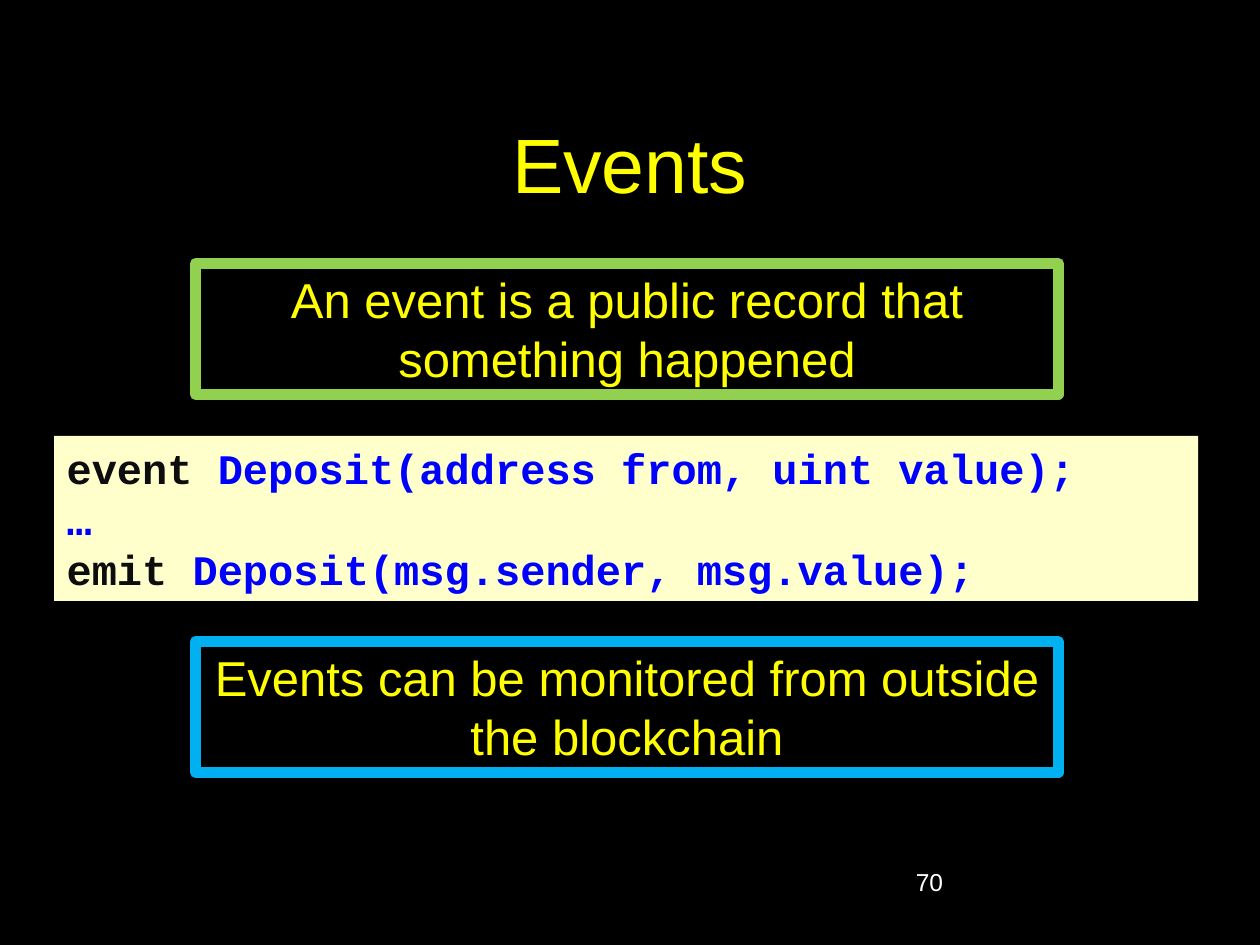
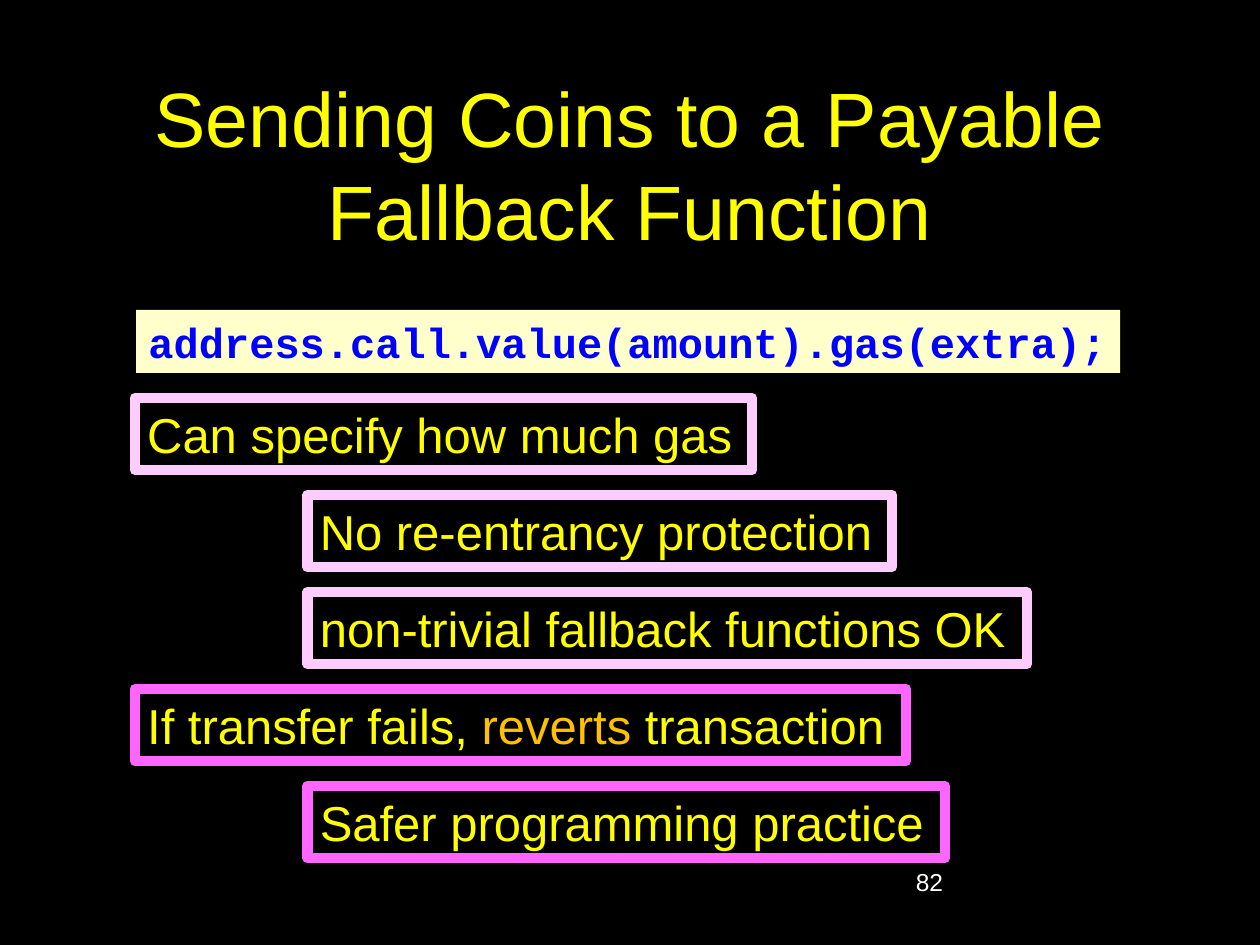
from dataclasses import dataclass

import pptx
import pptx.dml.color
import pptx.enum.shapes
import pptx.enum.text
import pptx.util

Inches = pptx.util.Inches
RGB = pptx.dml.color.RGBColor
Align = pptx.enum.text.PP_ALIGN
Anchor = pptx.enum.text.MSO_ANCHOR
Fit = pptx.enum.text.MSO_AUTO_SIZE

BLACK = RGB(0x00, 0x00, 0x00)
WHITE = RGB(0xFF, 0xFF, 0xFF)
YELLOW = RGB(0xFF, 0xFF, 0x00)
CREAM = RGB(0xFF, 0xFF, 0xCC)
INK = RGB(0x0D, 0x0D, 0x0D)
BLUE = RGB(0x00, 0x00, 0xFF)
GREEN = RGB(0x92, 0xD0, 0x50)
SKY = RGB(0x00, 0xB0, 0xF0)
PINK = RGB(0xFF, 0xCC, 0xFF)
ROSE = RGB(0xFF, 0x66, 0xFF)
AMBER = RGB(0xFF, 0xC0, 0x00)

SANS = "Arial"
MONO = "Courier New"


@dataclass
class Run:
    text: str
    color: RGB


Line = list[Run]


@dataclass
class Box:
    left: float
    top: float
    width: float
    height: float


@dataclass
class Note:
    """A framed statement."""
    box: Box
    line: Line
    edge: RGB
    align: Align = Align.LEFT
    wrap: bool = False


@dataclass
class Code:
    box: Box
    lines: list[Line]


@dataclass
class Page:
    title: str
    number: str
    code: Code
    notes: list[Note]


def plain(text: str) -> Line:
    return [Run(text, YELLOW)]


def write(frame, lines: list[Line], *, size: float, font: str = SANS,
          bold: bool = False, align=Align.LEFT, anchor=Anchor.TOP,
          wrap: bool = True, fit=Fit.NONE) -> None:
    frame.word_wrap = wrap
    frame.auto_size = fit
    frame.vertical_anchor = anchor
    for i, line in enumerate(lines):
        para = frame.paragraphs[0] if i == 0 else frame.add_paragraph()
        para.alignment = align
        for part in line:
            run = para.add_run()
            run.text = part.text
            run.font.name = font
            run.font.size = pptx.util.Pt(size)
            run.font.bold = bold
            run.font.color.rgb = part.color


def place(box: Box) -> list[int]:
    return [Inches(n) for n in (box.left, box.top, box.width, box.height)]


def add_rect(slide, box: Box, fill: RGB, edge: RGB | None = None):
    rect = slide.shapes.add_shape(
        pptx.enum.shapes.MSO_SHAPE.RECTANGLE, *place(box))
    rect.shadow.inherit = False
    rect.fill.solid()
    rect.fill.fore_color.rgb = fill
    if edge is None:
        rect.line.fill.background()
    else:
        rect.line.color.rgb = edge
        rect.line.width = pptx.util.Pt(6)
    return rect


def add_note(slide, note: Note) -> None:
    rect = add_rect(slide, note.box, BLACK, note.edge)
    write(rect.text_frame, [note.line], size=28, align=note.align,
          wrap=note.wrap, fit=Fit.SHAPE_TO_FIT_TEXT)


def add_code(slide, code: Code) -> None:
    rect = add_rect(slide, code.box, CREAM)
    write(rect.text_frame, code.lines, size=24, font=MONO, bold=True,
          anchor=Anchor.MIDDLE, fit=Fit.SHAPE_TO_FIT_TEXT)


def add_page(deck, page: Page) -> None:
    slide = deck.slides.add_slide(deck.slide_layouts.get_by_name("Title Only"))
    slide.background.fill.solid()
    slide.background.fill.fore_color.rgb = BLACK

    title = slide.shapes.title
    title.left, title.top, title.width, title.height = place(
        Box(0.75, 0.67, 8.5, 1.25))
    write(title.text_frame, [plain(page.title)], size=44,
          align=Align.CENTER, anchor=Anchor.MIDDLE)

    foot = slide.shapes.add_textbox(*place(Box(7.17, 6.83, 2.08, 0.5)))
    write(foot.text_frame, [[Run(page.number, WHITE)]], size=14)

    add_code(slide, page.code)
    for note in page.notes:
        add_note(slide, note)


def event_page() -> Page:
    notes = [
        Note(Box(1.55, top, 6.85, 1.04), plain(text), edge, Align.CENTER, True)
        for top, text, edge in (
            (2.09, "An event is a public record that something happened", GREEN),
            (5.09, "Events can be monitored from outside the blockchain", SKY),
        )
    ]
    code = Code(Box(0.43, 3.46, 9.08, 1.31), [
        [Run("event", INK),
         Run(" Deposit(address from, uint value);", BLUE)],
        [Run("…", BLUE)],
        [Run("emit ", INK), Run("Deposit(msg.sender, msg.value);", BLUE)],
    ])
    return Page("Events", "70", code, notes)


def send_page() -> Page:
    main, sub = 1.07, 2.44
    fails = [Run("If transfer fails, ", YELLOW), Run("reverts", AMBER),
             Run(" transaction", YELLOW)]
    rows = (
        (main, 4.9, plain("Can specify how much gas"), PINK),
        (sub, 4.64, plain("No re-entrancy protection"), PINK),
        (sub, 5.71, plain("non-trivial fallback functions OK"), PINK),
        (main, 6.12, fails, ROSE),
        (sub, 5.06, plain("Safer programming practice"), ROSE),
    )
    notes = [Note(Box(left, 3.16 + 0.77 * i, width, 0.57), line, edge)
             for i, (left, width, line, edge) in enumerate(rows)]
    code = Code(Box(1.08, 2.46, 7.81, 0.5),
                [[Run("address.call.value(amount).gas(extra);", BLUE)]])
    return Page("Sending Coins to a Payable Fallback Function", "82",
                code, notes)


def main() -> None:
    deck = pptx.Presentation()
    deck.slide_width, deck.slide_height = Inches(10), Inches(7.5)
    for page in (event_page(), send_page()):
        add_page(deck, page)
    deck.save("out.pptx")


if __name__ == "__main__":
    main()
